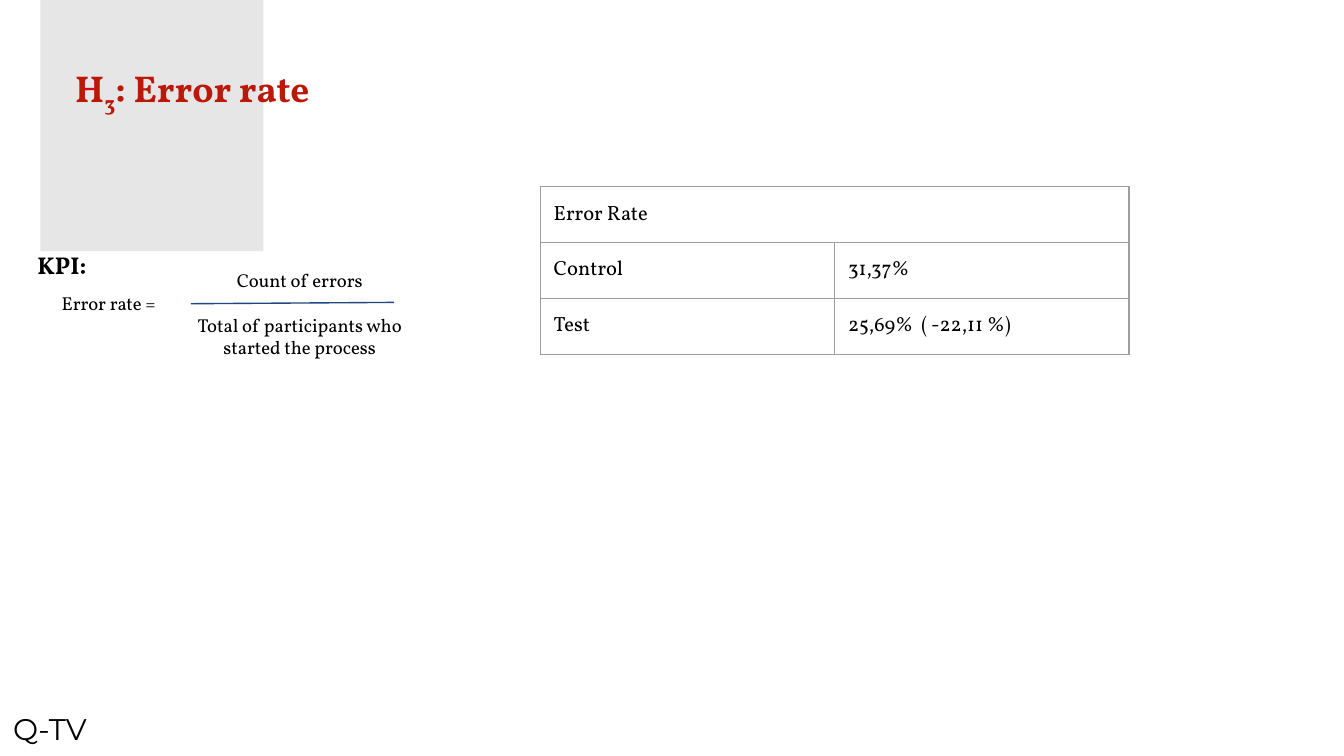
from lxml import etree
from pptx import Presentation
from pptx.dml.color import RGBColor
from pptx.enum.shapes import MSO_CONNECTOR, MSO_SHAPE
from pptx.enum.text import MSO_ANCHOR, PP_ALIGN
from pptx.oxml.ns import qn
from pptx.util import Inches, Pt

RECTANGLE = MSO_SHAPE.RECTANGLE
STRAIGHT = MSO_CONNECTOR.STRAIGHT
TOP = MSO_ANCHOR.TOP
LEFT = PP_ALIGN.LEFT
CENTER = PP_ALIGN.CENTER
TITLE_ONLY = 5

BLACK = "000000"
RED = "BB1808"
BLUE = "1F497D"
LIGHT_GRAY = "E6E6E6"
BORDER_GRAY = "9E9E9E"


def color(hex_string):
    return RGBColor.from_string(hex_string)


def place(shape, left, top, width, height):
    shape.left, shape.top = Inches(left), Inches(top)
    shape.width, shape.height = Inches(width), Inches(height)


class SlideBuilder:
    """Holds the style and the current slide."""

    font = "Vollkorn"
    inset = Inches(0.1)
    border_width = Pt(0.75)

    def __init__(self, slide):
        self.slide = slide

    def format_paragraph(self, paragraph, size, bold=False, hex_string=BLACK,
                         align=LEFT, font=None):
        paragraph.alignment = align
        for run in paragraph.runs:
            run.font.name = font or self.font
            run.font.size = Pt(size)
            run.font.bold = bold
            run.font.color.rgb = color(hex_string)

    def set_margins(self, target, margin):
        target.margin_left = target.margin_right = margin
        target.margin_top = target.margin_bottom = margin

    def title(self, parts, left, top, width, height):
        """Parts are pairs of text and baseline shift in percent."""
        title = self.slide.shapes.title
        place(title, left, top, width, height)
        frame = title.text_frame
        self.set_margins(frame, 0)
        frame.vertical_anchor = TOP
        frame.word_wrap = True
        paragraph = frame.paragraphs[0]
        paragraph.line_spacing = 1.4
        for text, baseline in parts:
            run = paragraph.add_run()
            run.text = text
            if baseline:
                run.font._element.set("baseline", str(baseline * 1000))
        self.format_paragraph(paragraph, 20, True, RED)

    def rectangle(self, left, top, width, height, fill):
        shape = self.slide.shapes.add_shape(
            RECTANGLE, Inches(left), Inches(top), Inches(width), Inches(height))
        shape.shadow.inherit = False
        shape.fill.solid()
        shape.fill.fore_color.rgb = color(fill)
        shape.line.fill.background()

    def text(self, lines, left, top, width, height, size, gap=0, **style):
        """Gap is the space in points between paragraphs."""
        box = self.slide.shapes.add_textbox(
            Inches(left), Inches(top), Inches(width), Inches(height))
        frame = box.text_frame
        frame.word_wrap = True
        self.set_margins(frame, self.inset)
        frame.text = "\n".join(lines)
        for index, paragraph in enumerate(frame.paragraphs):
            if index:
                paragraph.space_before = Pt(gap)
            self.format_paragraph(paragraph, size, **style)

    def line(self, start, end, hex_string):
        connector = self.slide.shapes.add_connector(
            STRAIGHT, *(Inches(value) for value in start + end))
        connector.line.color.rgb = color(hex_string)
        connector.line.width = Pt(0.75)
        etree.SubElement(connector._element.spPr, qn("a:effectLst"))

    def cell_borders(self, cell):
        properties = cell._tc.get_or_add_tcPr()
        for side in ("a:lnL", "a:lnR", "a:lnT", "a:lnB"):
            border = etree.SubElement(properties, qn(side), w=str(self.border_width))
            fill = etree.SubElement(border, qn("a:solidFill"))
            etree.SubElement(fill, qn("a:srgbClr"), val=BORDER_GRAY)

    def table(self, heading, rows, left, top, width, height, size):
        """Draws a heading across all columns with the rows below it."""
        columns = len(rows[0])
        contents = [[heading] + [""] * (columns - 1)] + rows
        table = self.slide.shapes.add_table(
            len(contents), columns, Inches(left), Inches(top),
            Inches(width), Inches(height)).table
        table.first_row = table.horz_banding = False
        for row, texts in zip(table.rows, contents):
            for cell, text in zip(row.cells, texts):
                self.cell_borders(cell)
                cell.fill.background()
                self.set_margins(cell, self.inset)
                cell.vertical_anchor = TOP
                cell.text = text
                self.format_paragraph(cell.text_frame.paragraphs[0], size)
        table.cell(0, 0).merge(table.cell(0, columns - 1))


def main():
    presentation = Presentation()
    presentation.slide_width = Inches(10)
    presentation.slide_height = presentation.slide_width * 9 // 16
    layout = presentation.slide_layouts[TITLE_ONLY]
    builder = SlideBuilder(presentation.slides.add_slide(layout))

    builder.rectangle(0.3, 0, 1.66, 1.87, LIGHT_GRAY)
    # The title lies in front of the gray block
    shapes = builder.slide.shapes
    shapes._spTree.append(shapes.title._element)
    builder.title([("H", 0), ("3", -25), (": Error rate", 0)],
                  0.56, 0.33, 2.97, 0.34)

    builder.text(["KPI:"], 0.18, 1.76, 1.23, 0.33, 13, bold=True)
    builder.text(["Error rate ="], 0.36, 2.09, 1.29, 0.54, 10)
    builder.text(["Count of errors", "Total of participants who started the process"],
                 1.36, 1.9, 1.74, 1.04, 10, gap=12, align=CENTER)
    builder.line((1.42, 2.26), (2.93, 2.25), BLUE)

    builder.table("Error Rate",
                  [["Control", "31,37%"], ["Test", "25,69%  ( -22,11 %)"]],
                  4.02, 1.39, 4.38, 1.25, 11)
    builder.text(["Q-TV"], 0, 5.19, 0.89, 0.43, 16, font="Montserrat")

    presentation.save("out.pptx")


if __name__ == "__main__":
    main()
